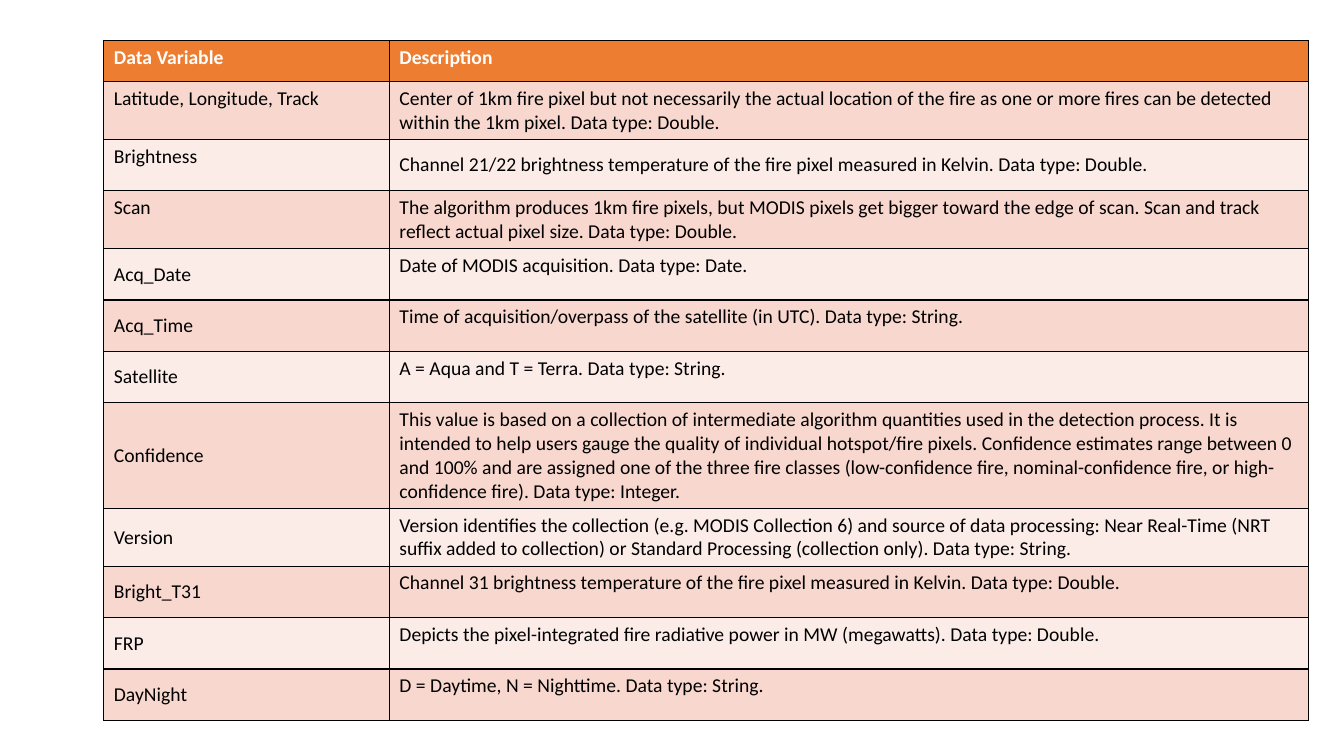
import dataclasses

import lxml.etree
import pptx
import pptx.dml.color
import pptx.enum.text
import pptx.oxml.ns
import pptx.util

TOP = pptx.enum.text.MSO_ANCHOR.TOP
MIDDLE = pptx.enum.text.MSO_ANCHOR.MIDDLE


@dataclasses.dataclass(frozen=True)
class Theme:
    """Colours and type of the slide."""
    font: str = "Calibri"
    size: int = 14
    header_fill: str = "ED7D31"
    header_text: str = "FFFFFF"
    bands: tuple = ("F8D7CE", "FCECE8")
    text: str = "000000"
    border: str = "000000"
    border_width: int = 1


THEME = Theme()
HEADINGS = ("Data Variable", "Description")
HEADER_HEIGHT = 0.41
HEIGHT_BY_LINES = {1: 0.51, 2: 0.54, 4: 0.99}
NAME_SHARE = 0.237

VARIABLES = [
    ("Latitude, Longitude, Track", TOP, 2, MIDDLE,
     "Center of 1km fire pixel but not necessarily the actual location of the fire "
     "as one or more fires can be detected within the 1km pixel. Data type: Double."),
    ("Brightness", TOP, 1, MIDDLE,
     "Channel 21/22 brightness temperature of the fire pixel measured in Kelvin. "
     "Data type: Double."),
    ("Scan", TOP, 2, TOP,
     "The algorithm produces 1km fire pixels, but MODIS pixels get bigger toward the "
     "edge of scan. Scan and track reflect actual pixel size. Data type: Double."),
    ("Acq_Date", MIDDLE, 1, TOP, "Date of MODIS acquisition. Data type: Date."),
    ("Acq_Time", MIDDLE, 1, TOP,
     "Time of acquisition/overpass of the satellite (in UTC). Data type: String."),
    ("Satellite", MIDDLE, 1, TOP, "A = Aqua and T = Terra. Data type: String."),
    ("Confidence", MIDDLE, 4, MIDDLE,
     "This value is based on a collection of intermediate algorithm quantities used in "
     "the detection process. It is intended to help users gauge the quality of "
     "individual hotspot/fire pixels. Confidence estimates range between 0 and 100% and "
     "are assigned one of the three fire classes (low-confidence fire, "
     "nominal-confidence fire, or high-confidence fire). Data type: Integer."),
    ("Version", MIDDLE, 2, TOP,
     "Version identifies the collection (e.g. MODIS Collection 6) and source of data "
     "processing: Near Real-Time (NRT suffix added to collection) or Standard "
     "Processing (collection only). Data type: String."),
    ("Bright_T31", MIDDLE, 1, TOP,
     "Channel 31 brightness temperature of the fire pixel measured in Kelvin. "
     "Data type: Double."),
    ("FRP", MIDDLE, 1, TOP,
     "Depicts the pixel-integrated fire radiative power in MW (megawatts). "
     "Data type: Double."),
    ("DayNight", MIDDLE, 1, TOP, "D = Daytime, N = Nighttime. Data type: String."),
]


def outline(cell):
    """Draw all four borders of a cell."""
    properties = cell._tc.get_or_add_tcPr()
    for position, side in enumerate(("lnL", "lnR", "lnT", "lnB")):
        edge = lxml.etree.Element(pptx.oxml.ns.qn(f"a:{side}"))
        edge.set("w", str(pptx.util.Pt(THEME.border_width)))
        paint = lxml.etree.SubElement(edge, pptx.oxml.ns.qn("a:solidFill"))
        lxml.etree.SubElement(paint, pptx.oxml.ns.qn("a:srgbClr")).set("val", THEME.border)
        properties.insert(position, edge)


def write_cell(cell, words, fill, colour, anchor=TOP, bold=False):
    """Fill one cell with styled text."""
    cell.fill.solid()
    cell.fill.fore_color.rgb = pptx.dml.color.RGBColor.from_string(fill)
    cell.vertical_anchor = anchor
    run = cell.text_frame.paragraphs[0].add_run()
    run.text = words
    run.font.name = THEME.font
    run.font.size = pptx.util.Pt(THEME.size)
    run.font.bold = bold
    run.font.color.rgb = pptx.dml.color.RGBColor.from_string(colour)
    outline(cell)


def data_dictionary(slide, left, top, width, height):
    """Place the table of data variables in the given box."""
    dictionary = slide.shapes.add_table(
        len(VARIABLES) + 1, len(HEADINGS), left, top, width, height).table
    name_width = int(width * NAME_SHARE)
    dictionary.columns[0].width = name_width
    dictionary.columns[1].width = width - name_width

    heights = [HEADER_HEIGHT] + [HEIGHT_BY_LINES[entry[2]] for entry in VARIABLES]
    for row, share in zip(dictionary.rows, heights):
        row.height = int(height * share / sum(heights))

    for column, heading in enumerate(HEADINGS):
        write_cell(dictionary.cell(0, column), heading,
                   THEME.header_fill, THEME.header_text, bold=True)
    for index, (name, name_anchor, _, anchor, description) in enumerate(VARIABLES):
        band = THEME.bands[index % len(THEME.bands)]
        write_cell(dictionary.cell(index + 1, 0), name, band, THEME.text, name_anchor)
        write_cell(dictionary.cell(index + 1, 1), description, band, THEME.text, anchor)


def build():
    """Build and save the presentation."""
    deck = pptx.Presentation()
    deck.slide_width = pptx.util.Inches(13.33)
    deck.slide_height = pptx.util.Inches(7.5)
    slide = deck.slides.add_slide(deck.slide_layouts[6])
    across, down = pptx.util.Inches(1), pptx.util.Inches(1)
    data_dictionary(slide, int(1.03 * across), int(0.4 * down),
                    int(11.95 * across), int(6.59 * down))
    deck.save("out.pptx")


build()
